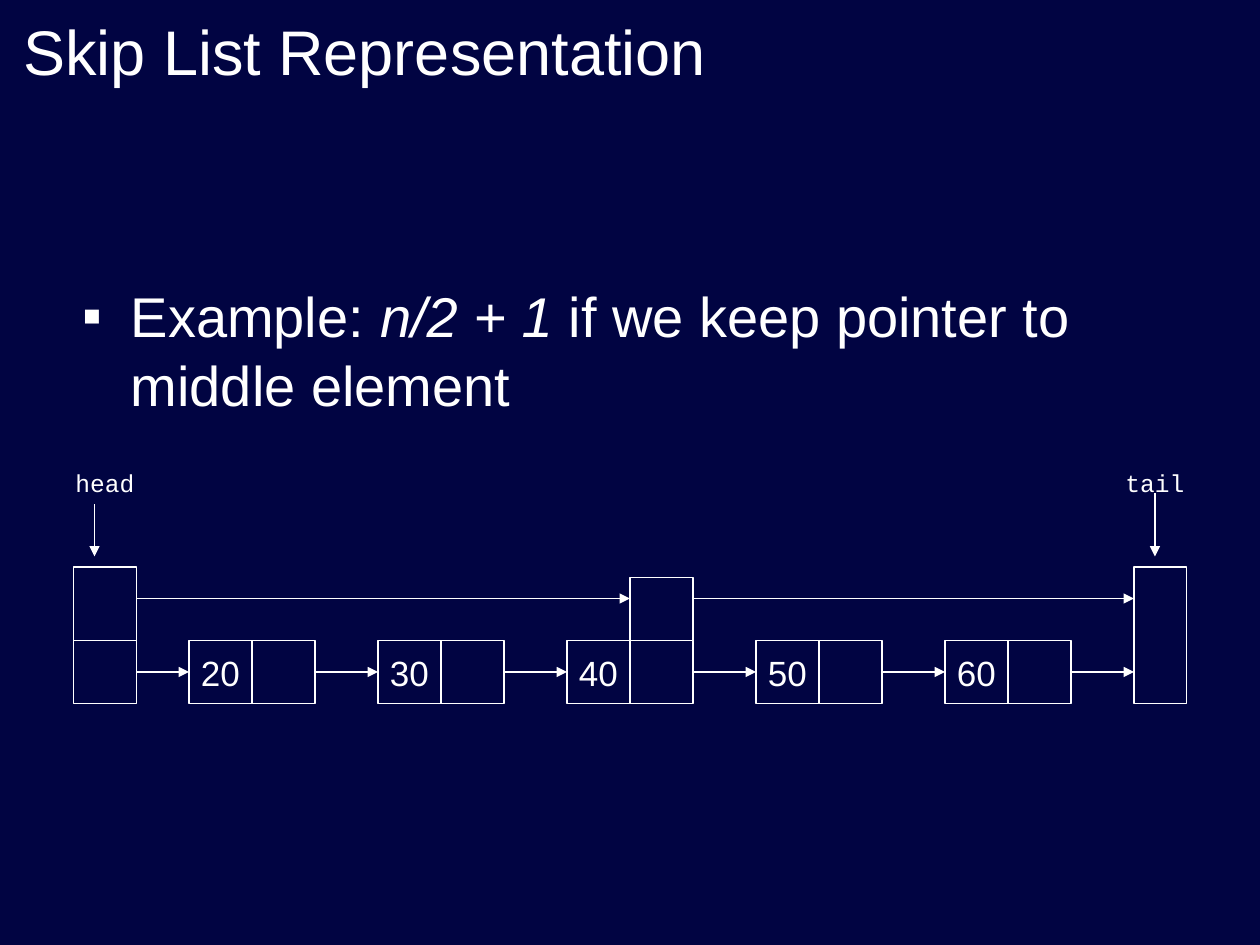
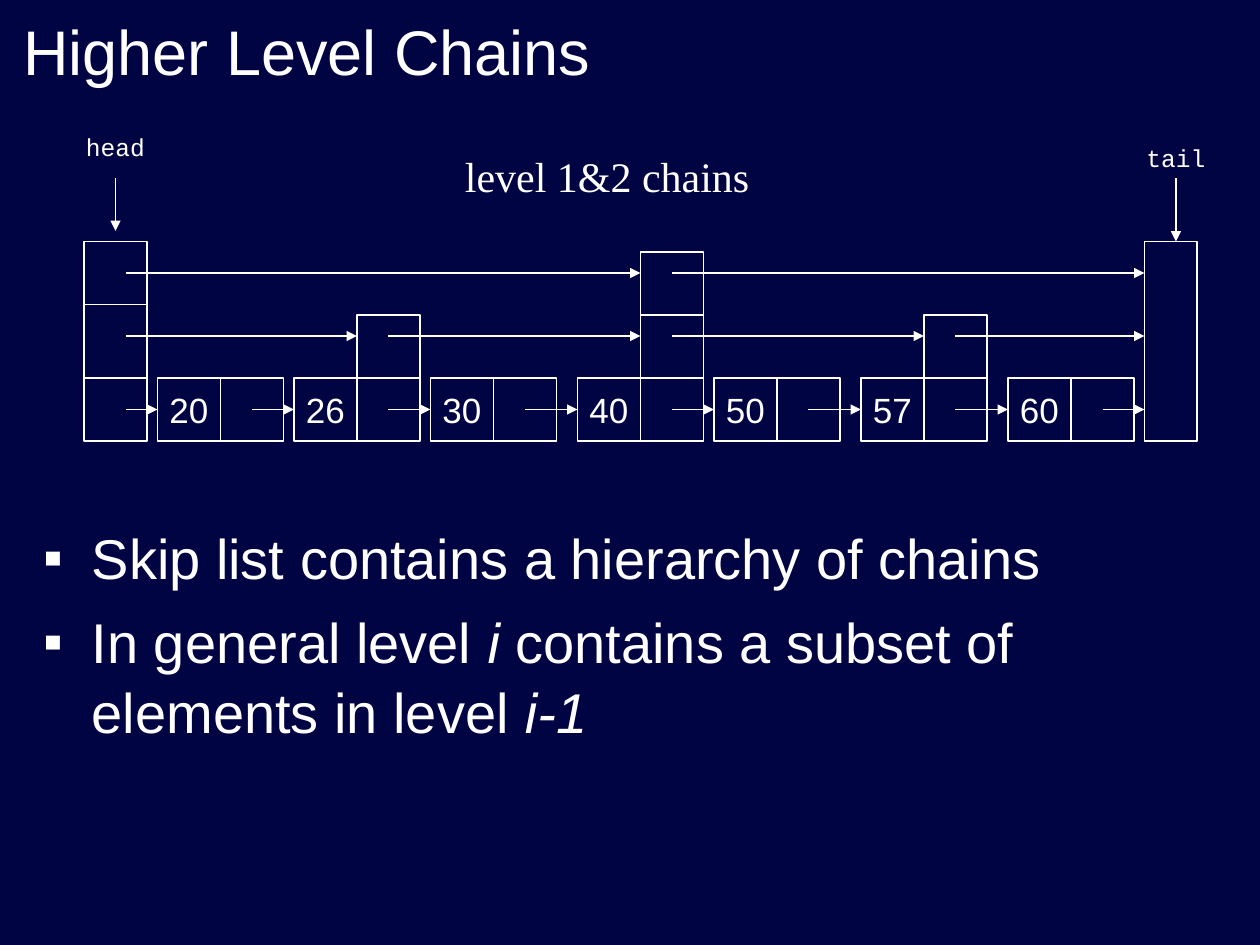
from lxml.etree import SubElement
from pptx import Presentation
from pptx.dml.color import RGBColor
from pptx.enum.shapes import MSO_CONNECTOR, MSO_SHAPE
from pptx.enum.text import MSO_ANCHOR, MSO_AUTO_SIZE, PP_ALIGN
from pptx.oxml.ns import qn
from pptx.util import Inches, Pt

NAVY = RGBColor(0x01, 0x04, 0x42)
WHITE = RGBColor(0xFF, 0xFF, 0xFF)

COLS, ROWS = 120, 90
CELL = 6      # side of a square cell
NODE = 12     # value cell and pointer cell

TITLE = {"name": "Arial", "size": Pt(36)}
BODY = {"name": "Arial", "size": Pt(32)}
VALUE = {"name": "Arial", "size": Pt(20)}
CODE = {"name": "Courier New", "size": Pt(14)}
NOTE = {"name": "Times New Roman", "size": Pt(24)}

FIXED = {"word_wrap": True, "auto_size": MSO_AUTO_SIZE.NONE}
LOOSE = {"word_wrap": False, "auto_size": MSO_AUTO_SIZE.SHAPE_TO_FIT_TEXT}
MIDDLE = {"word_wrap": False, "vertical_anchor": MSO_ANCHOR.MIDDLE}
BOTTOM = {**FIXED, "vertical_anchor": MSO_ANCHOR.BOTTOM}
POINT = {"space_before": Pt(8), "line_spacing": 1.04}


def apply(target, form):
    for name, value in form.items():
        setattr(target, name, value)


class Deck:
    """Style and current slide; lengths are grid columns and rows."""

    def __init__(self):
        self.prs = Presentation()
        self.prs.slide_width, self.prs.slide_height = Inches(10), Inches(7.5)
        back = self.prs.slide_master.background.fill
        back.solid()
        back.fore_color.rgb = NAVY

    def place(self, col, row, wide=0, high=0):
        across = self.prs.slide_width / COLS
        down = self.prs.slide_height / ROWS
        return (round(col * across), round(row * down),
                round(wide * across), round(high * down))

    def words(self, para, text, font, italic=False):
        run = para.add_run()
        run.text = text
        apply(run.font, {**font, "italic": italic})
        run.font.color.rgb = WHITE

    def start(self, title):
        self.slide = self.prs.slides.add_slide(self.prs.slide_layouts[5])
        self.shapes = self.slide.shapes
        head = self.shapes.title
        spot = self.place(1, 1, 108.7, 8)
        apply(head, dict(zip(("left", "top", "width", "height"), spot)))
        apply(head.text_frame, BOTTOM)
        para = head.text_frame.paragraphs[0]
        para.alignment = PP_ALIGN.LEFT
        self.words(para, title, TITLE)

    def points(self, box, items):
        """Bulleted text; every second part of an item is italic."""
        frame = self.shapes.add_textbox(*self.place(*box)).text_frame
        apply(frame, FIXED)
        for num, parts in enumerate(items):
            para = frame.add_paragraph() if num else frame.paragraphs[0]
            apply(para, POINT)
            for pos, text in enumerate(parts):
                self.words(para, text, BODY, pos % 2 == 1)
            props = para._p.get_or_add_pPr()
            props.set("marL", str(Inches(0.38)))
            props.set("indent", str(-Inches(0.38)))
            tint = SubElement(props, qn("a:buClr"))
            SubElement(tint, qn("a:srgbClr"), val=str(WHITE))
            SubElement(props, qn("a:buFont"), typeface="Arial")
            SubElement(props, qn("a:buChar"), char="▪")

    def label(self, text, box, font=CODE):
        frame = self.shapes.add_textbox(*self.place(*box)).text_frame
        apply(frame, LOOSE)
        self.words(frame.paragraphs[0], text, font)

    def cell(self, col, row, wide=CELL, high=CELL, text=None):
        box = self.shapes.add_shape(
            MSO_SHAPE.RECTANGLE, *self.place(col, row, wide, high))
        box.shadow.inherit = False
        box.fill.background()
        box.line.color.rgb = WHITE
        box.line.width = Pt(0.75)
        if text:
            apply(box.text_frame, MIDDLE)
            para = box.text_frame.paragraphs[0]
            para.alignment = PP_ALIGN.CENTER
            self.words(para, text, VALUE)
        return box

    def line(self, start, end, arrow=True):
        link = self.shapes.add_connector(
            MSO_CONNECTOR.STRAIGHT,
            *self.place(*start)[:2], *self.place(*end)[:2])
        link.line.color.rgb = WHITE
        link.line.width = Pt(0.75)
        if arrow:
            SubElement(link.line._get_or_add_ln(), qn("a:tailEnd"), type="triangle")
        SubElement(link._element.spPr, qn("a:effectLst"))
        return link

    def chain(self, row, spans):
        """Arrows of one upper level, each from column to column."""
        for start, end in spans:
            self.line((start, row), (end, row))

    def base(self, nodes, row, first, last, out):
        """Bottom level; arrows leave a node 'out' columns from its left."""
        mid = row + CELL / 2
        start, source = first, None
        for text, col in nodes.items():
            value = self.cell(col, row, text=text)
            link = self.line((start, mid), (col, mid))
            if source:
                link.begin_connect(source, 3)
            link.end_connect(value, 1)
            spare = self.cell(col + CELL, row)
            start, source = col + out, spare if out == NODE else None
        link = self.line((start, mid), (last, mid))
        if source:
            link.begin_connect(source, 3)

    def save(self):
        self.prs.save("out.pptx")


def middle(deck):
    deck.start("Skip List Representation")
    deck.points((6.72, 25.92, 107.28, 14), [
        ("Example: ", "n/2 + 1", " if we keep pointer to middle element")])
    deck.cell(7, 54, high=13)
    deck.line((7, 61), (13, 61), arrow=False)
    deck.cell(108, 54, 5, 13)
    nodes = {str(20 + 10 * i): 18 + 18 * i for i in range(5)}
    deck.base(nodes, 61, 13, 108, NODE)
    deck.cell(60, 55)
    deck.chain(57, [(13, 60), (66, 108)])
    deck.label("head", (6, 44, 8, 4))
    deck.label("tail", (106, 44, 8, 4))
    deck.line((9, 48), (9, 53))
    deck.line((110, 47), (110, 53))


def levels(deck):
    deck.start("Higher Level Chains")
    deck.points((3, 49, 113, 31), [
        ("Skip list contains a hierarchy of chains",),
        ("In general level ", "i",
         " contains a subset of elements in level ", "i-1")])
    deck.cell(8, 23)
    deck.cell(8, 29, high=13)
    deck.line((8, 36), (14, 36), arrow=False)
    deck.cell(109, 23, 5, 19)
    nodes = {"20": 15, "26": 28, "30": 41, "40": 55,
             "50": 68, "57": 82, "60": 96}
    deck.base(nodes, 36, 12, 109, 9)
    for col, row in ((34, 30), (61, 30), (88, 30), (61, 24)):
        deck.cell(col, row)
    deck.chain(32, [(12, 34), (37, 61), (64, 88), (91, 109)])
    deck.chain(26, [(12, 61), (64, 109)])
    deck.label("head", (7, 12, 8, 4))
    deck.label("tail", (108, 13, 8, 4))
    deck.line((11, 17), (11, 22))
    deck.line((112, 17), (112, 23))
    deck.label("level 1&2 chains", (43.1, 13.7, 33.4, 6), NOTE)


def main():
    deck = Deck()
    middle(deck)
    levels(deck)
    deck.save()


if __name__ == "__main__":
    main()
